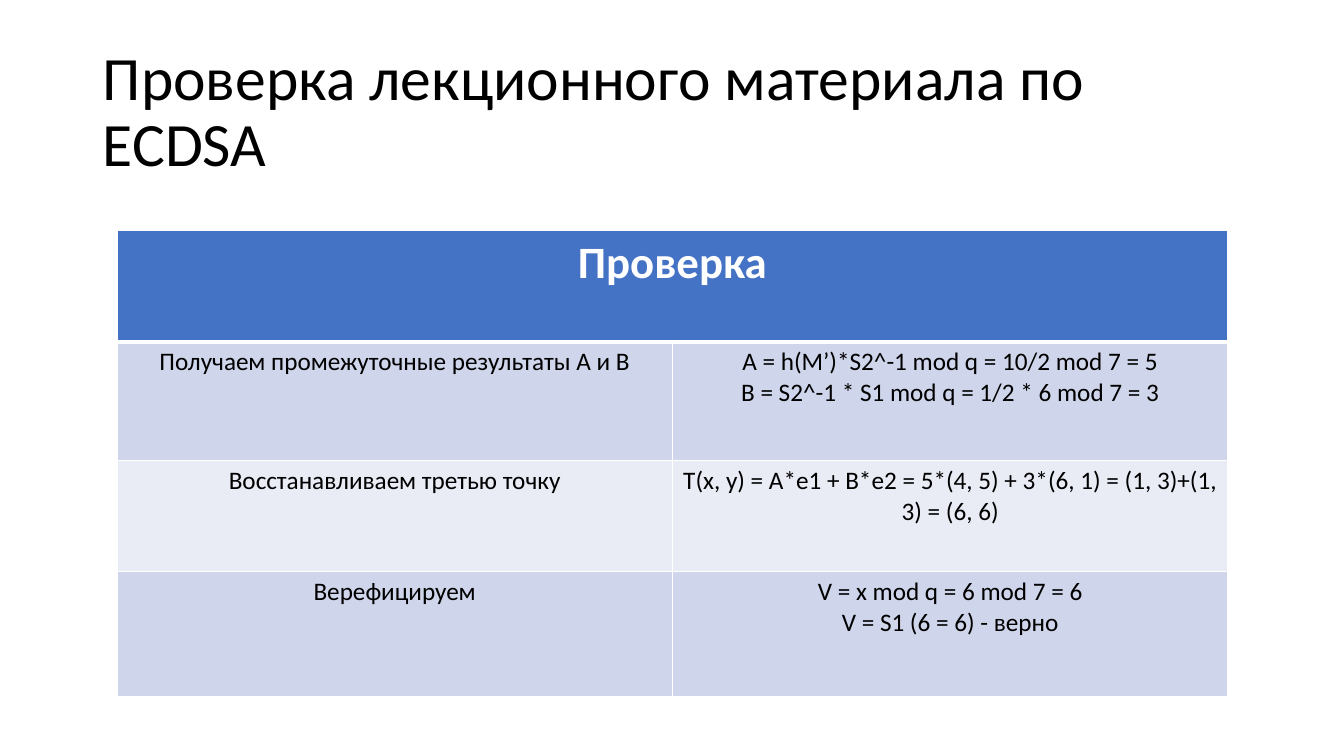
from lxml.etree import SubElement
from pptx import Presentation
from pptx.dml.color import RGBColor
from pptx.enum.text import MSO_ANCHOR, MSO_AUTO_SIZE, PP_ALIGN
from pptx.oxml.ns import qn
from pptx.util import Inches, Pt

FONT = "Calibri"
COLORS = {
    "text": "000000",
    "header": "4472C4",
    "header_text": "FFFFFF",
    "border": "FFFFFF",
    "band_dark": "CFD5EA",
    "band_light": "E9EBF5",
}
TITLE = "Проверка лекционного материала по ECDSA"
HEADER = "Проверка"
# "\n" starts a new paragraph, "\v" breaks the line within one
STEPS = [
    ("Получаем промежуточные результаты А и B",
     "A = h(M’)*S2^-1 mod q = 10/2 mod 7 = 5\n"
     "B = S2^-1 * S1 mod q = 1/2 * 6 mod 7 = 3"),
    ("Восстанавливаем третью точку",
     "T(x, y) = A*e1 + B*e2 = 5*(4, 5) + 3*(6, 1) = (1, 3)+(1, 3) = (6, 6)"),
    ("Верефицируем",
     "V = x mod q = 6 mod 7 = 6\vV = S1 (6 = 6) - верно"),
]
COLUMN_WIDTH = 5.51
ROW_HEIGHTS = [1.1, 1.18, 1.1, 1.24]


def rgb(name):
    return RGBColor.from_string(COLORS[name])


def style_paragraph(p, size, color, align, bold=False):
    p.alignment = align
    p.font.name = FONT
    p.font.size = Pt(size)
    p.font.bold = bold
    p.font.color.rgb = rgb(color)


def add_title(slide, text):
    sp = slide.shapes.title
    sp.left, sp.top = Inches(0.92), Inches(0.4)
    sp.width, sp.height = Inches(11.5), Inches(1.45)
    tf = sp.text_frame
    tf.text = text
    tf.word_wrap = True
    tf.auto_size = MSO_AUTO_SIZE.NONE
    tf.vertical_anchor = MSO_ANCHOR.MIDDLE
    p = tf.paragraphs[0]
    p.line_spacing = 0.9
    style_paragraph(p, 44, "text", PP_ALIGN.LEFT)


def set_borders(cell, top=1, bottom=1):
    """Draw the four cell borders, with widths in points."""
    tc_pr = cell._tc.get_or_add_tcPr()
    for side, width in (("L", 1), ("R", 1), ("T", top), ("B", bottom)):
        ln = SubElement(tc_pr, qn(f"a:ln{side}"), w=str(Pt(width)))
        fill = SubElement(ln, qn("a:solidFill"))
        SubElement(fill, qn("a:srgbClr"), val=COLORS["border"])


def fill_cell(cell, text, fill, size, color, bold=False):
    cell.fill.solid()
    cell.fill.fore_color.rgb = rgb(fill)
    cell.text = text
    for p in cell.text_frame.paragraphs:
        style_paragraph(p, size, color, PP_ALIGN.CENTER, bold)


def add_steps_table(slide):
    frame = slide.shapes.add_table(
        len(ROW_HEIGHTS), 2, Inches(1.16), Inches(2.29),
        Inches(2 * COLUMN_WIDTH), Inches(sum(ROW_HEIGHTS)))
    table = frame.table
    for column in table.columns:
        column.width = Inches(COLUMN_WIDTH)
    for i, (row, height) in enumerate(zip(table.rows, ROW_HEIGHTS)):
        row.height = Inches(height)
        for cell in row.cells:
            set_borders(cell, top=3 if i == 1 else 1, bottom=3 if i == 0 else 1)

    header = table.cell(0, 0)
    header.merge(table.cell(0, 1))
    fill_cell(header, HEADER, "header", 32, "header_text", bold=True)
    for i, step in enumerate(STEPS, start=1):
        band = "band_dark" if i % 2 else "band_light"
        for j, text in enumerate(step):
            fill_cell(table.cell(i, j), text, band, 18, "text")


def main():
    prs = Presentation()
    prs.slide_width, prs.slide_height = Inches(13.33), Inches(7.5)
    slide = prs.slides.add_slide(prs.slide_layouts[5])
    add_title(slide, TITLE)
    add_steps_table(slide)
    prs.save("out.pptx")


if __name__ == "__main__":
    main()
